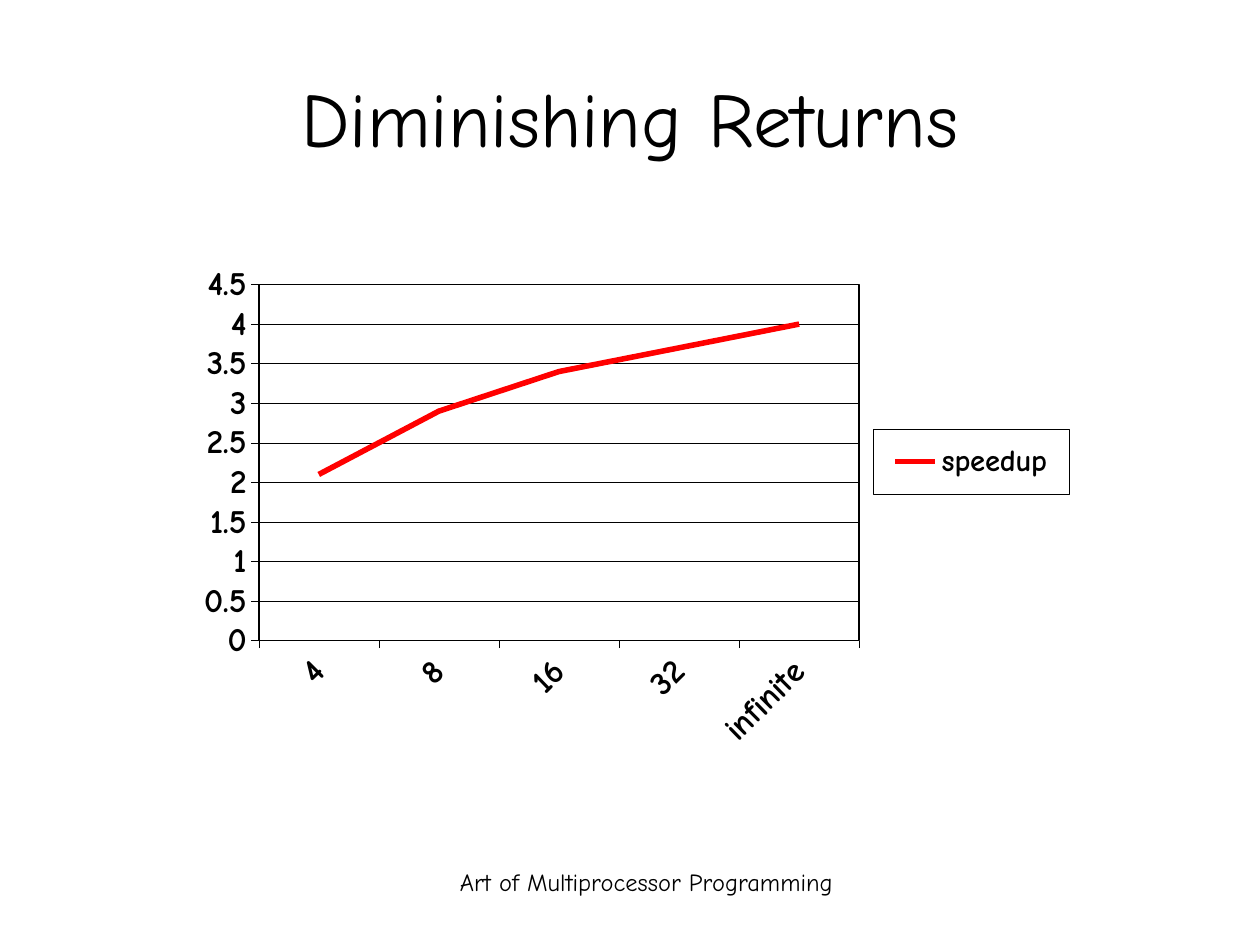
from pptx import Presentation
from pptx.chart.data import CategoryChartData
from pptx.dml.color import RGBColor
from pptx.enum.chart import XL_CHART_TYPE as ChartType
from pptx.enum.chart import XL_LEGEND_POSITION as LegendPosition
from pptx.enum.chart import XL_TICK_MARK as TickMark
from pptx.enum.text import MSO_ANCHOR as Anchor
from pptx.enum.text import PP_ALIGN as Align
from pptx.oxml import parse_xml
from pptx.oxml.ns import nsdecls
from pptx.util import Cm, Pt

BLACK = RGBColor(0x00, 0x00, 0x00)
RED = RGBColor(0xFF, 0x00, 0x00)
FONT = "Comic Neue"

SPEEDUPS = {"4": 2.1, "8": 2.9, "16": 3.4, "32": 3.7, "infinite": 4}


def style_font(font, size, bold=False):
    font.name = FONT
    font.size = Pt(size)
    font.bold = bold
    font.color.rgb = BLACK


def style_line(line, color, width):
    line.color.rgb = color
    line.width = Pt(width)


def add_text(page, text, size, left, top, width, height, anchor):
    box = page.shapes.add_textbox(Cm(left), Cm(top), Cm(width), Cm(height))
    frame = box.text_frame
    frame.word_wrap = True
    frame.vertical_anchor = anchor
    para = frame.paragraphs[0]
    para.alignment = Align.CENTER
    span = para.add_run()
    span.text = text
    style_font(span.font, size)


def manual_layout(x, y, width, height, inner=False):
    """Return a c:layout element in fractions of the chart area."""
    target = '<c:layoutTarget val="inner"/>' if inner else ""
    return parse_xml(
        f'<c:layout {nsdecls("c")}><c:manualLayout>{target}'
        '<c:xMode val="edge"/><c:yMode val="edge"/>'
        f'<c:x val="{x}"/><c:y val="{y}"/><c:w val="{width}"/><c:h val="{height}"/>'
        "</c:manualLayout></c:layout>"
    )


def outline(width):
    """Return unfilled chart shape properties with a black border."""
    return parse_xml(
        f'<c:spPr {nsdecls("c", "a")}><a:noFill/><a:ln w="{Pt(width)}">'
        f'<a:solidFill><a:srgbClr val="{BLACK}"/></a:solidFill></a:ln></c:spPr>'
    )


def style_axis(axis):
    axis.major_tick_mark = TickMark.OUTSIDE
    axis.minor_tick_mark = TickMark.NONE
    style_line(axis.format.line, BLACK, 0.25)
    style_font(axis.tick_labels.font, 19.1, bold=True)


def style_plot_area(chart):
    area = chart.element.xpath("//c:plotArea")[0]
    for layout in area.xpath("c:layout"):
        area.remove(layout)
    area.insert(0, manual_layout(0.083, 0.098, 0.676, 0.578, inner=True))
    area.append(outline(1))


def style_legend(chart):
    chart.has_legend = True
    chart.legend.position = LegendPosition.RIGHT
    chart.legend.include_in_layout = False
    style_font(chart.legend.font, 17.5, bold=True)
    legend = chart.element.xpath("//c:legend")[0]
    for layout in legend.xpath("c:layout"):
        legend.remove(layout)
    legend.xpath("c:legendPos")[0].addnext(manual_layout(0.775, 0.332, 0.22, 0.106))
    legend.xpath("c:txPr")[0].addprevious(outline(0.25))


def add_speedup_chart(page):
    data = CategoryChartData()
    data.categories = SPEEDUPS.keys()
    data.add_series("speedup", SPEEDUPS.values())
    chart = page.shapes.add_chart(
        ChartType.LINE_STACKED, Cm(3.73), Cm(4.52), Cm(17.91), Cm(12.42), data
    ).chart
    chart.has_title = False
    style_font(chart.font, 19.1, bold=True)

    style_axis(chart.category_axis)
    label_body = chart.element.xpath("//c:catAx/c:txPr/a:bodyPr")[0]
    label_body.set("rot", str(-45 * 60000))

    values = chart.value_axis
    style_axis(values)
    values.minimum_scale = 0
    values.maximum_scale = 4.5
    values.major_unit = 0.5
    values.has_major_gridlines = True
    style_line(values.major_gridlines.format.line, BLACK, 0.25)

    chart.plots[0].vary_by_categories = False
    speedup = chart.plots[0].series[0]
    speedup.smooth = False
    style_line(speedup.format.line, RED, 3.17)

    style_plot_area(chart)
    style_legend(chart)


def main():
    deck = Presentation()
    deck.slide_width = Cm(25.4)
    deck.slide_height = Cm(19.05)
    page = deck.slides.add_slide(deck.slide_layouts[6])
    add_text(page, "Art of Multiprocessor Programming", 14,
             8.69, 17.35, 8.69, 1.32, Anchor.TOP)
    add_text(page, "Diminishing Returns", 44,
             1.27, 0.76, 22.86, 3.18, Anchor.MIDDLE)
    add_speedup_chart(page)
    deck.save("out.pptx")


if __name__ == "__main__":
    main()
